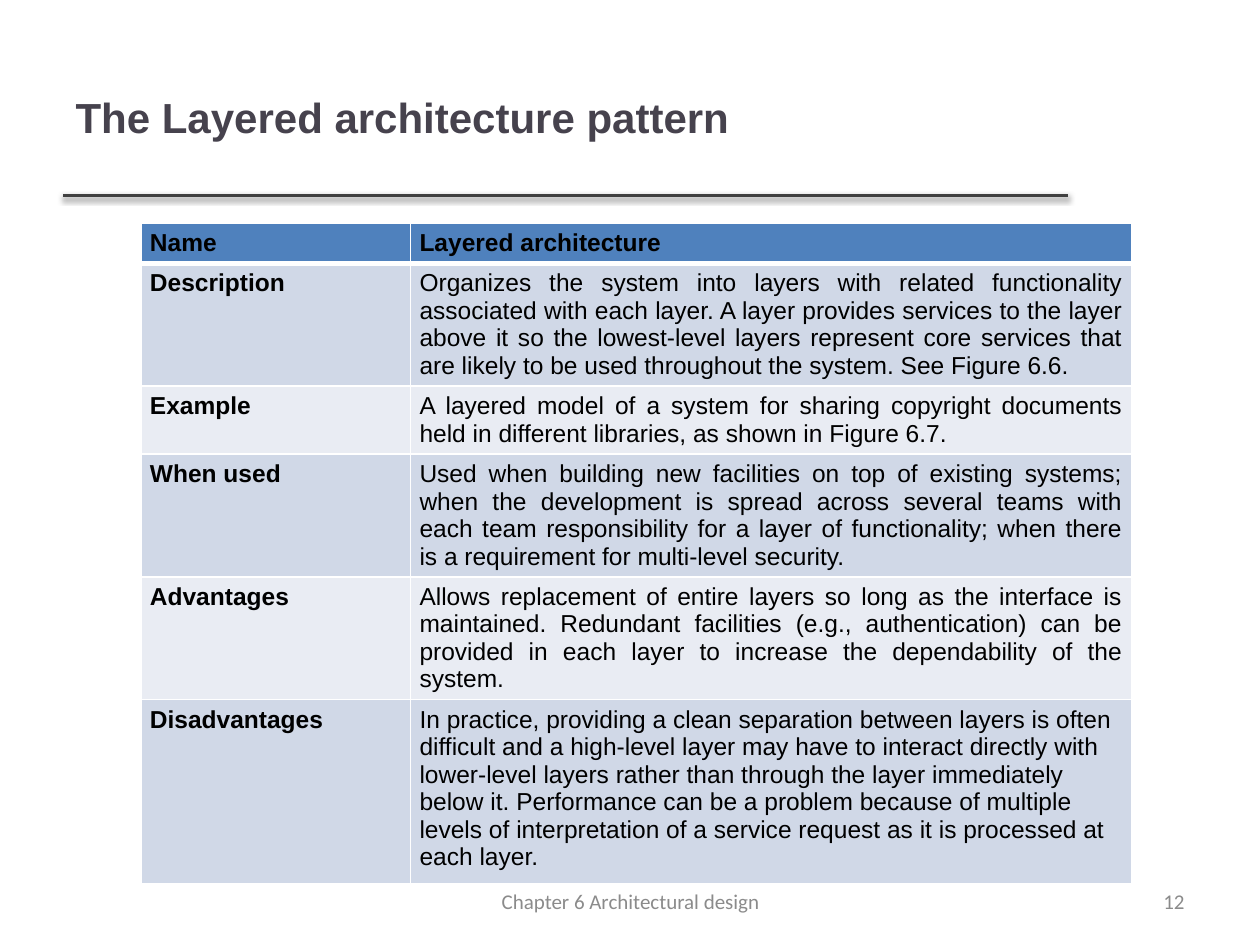
from lxml import etree
from pptx import Presentation
from pptx.dml.color import RGBColor
from pptx.enum.shapes import MSO_CONNECTOR
from pptx.enum.text import MSO_ANCHOR, PP_ALIGN
from pptx.oxml import parse_xml
from pptx.oxml.ns import qn
from pptx.util import Inches, Pt

LEFT, CENTER, RIGHT, JUSTIFY = (PP_ALIGN.LEFT, PP_ALIGN.CENTER,
                                PP_ALIGN.RIGHT, PP_ALIGN.JUSTIFY)
MIDDLE = MSO_ANCHOR.MIDDLE
STRAIGHT = MSO_CONNECTOR.STRAIGHT
NS = 'xmlns:a="http://schemas.openxmlformats.org/drawingml/2006/main"'

HEADER, BANDS = "4F81BD", ("D0D8E7", "E9ECF3")
COLUMNS = (2.14, 5.72)
ROWS = [
    (0.31, "Name", "Layered architecture"),
    (0.97, "Description",
     "Organizes the system into layers with related functionality associated "
     "with each layer. A layer provides services to the layer above it so the "
     "lowest-level layers represent core services that are likely to be used "
     "throughout the system. See Figure 6.6."),
    (0.54, "Example",
     "A layered model of a system for sharing copyright documents held in "
     "different libraries, as shown in Figure 6.7."),
    (0.97, "When used",
     "Used when building new facilities on top of existing systems; when the "
     "development is spread across several teams with each team responsibility "
     "for a layer of functionality; when there is a requirement for "
     "multi-level security."),
    (0.97, "Advantages",
     "Allows replacement of entire layers so long as the interface is "
     "maintained. Redundant facilities (e.g., authentication) can be provided "
     "in each layer to increase the dependability of the system."),
    (1.46, "Disadvantages",
     "In practice, providing a clean separation between layers is often "
     "difficult and a high-level layer may have to interact directly with "
     "lower-level layers rather than through the layer immediately below it. "
     "Performance can be a problem because of multiple levels of "
     "interpretation of a service request as it is processed at each layer."),
]


def rgb(value):
    return RGBColor.from_string(value)


def write(tf, text, align, color, **font):
    tf.word_wrap = True
    p = tf.paragraphs[0]
    p.alignment = align
    r = p.add_run()
    r.text = text
    r.font.color.rgb = rgb(color)
    for name, value in font.items():
        setattr(r.font, name, value)


def place(sp, box):
    for name, value in zip(("left", "top", "width", "height"), box):
        setattr(sp, name, Inches(value))


def add_heading(s, box):
    """Title with a shadowed rule along its lower edge."""
    x, y, w, h = box
    sp = s.shapes.title
    place(sp, box)
    sp.text_frame.vertical_anchor = MIDDLE
    write(sp.text_frame, "The Layered architecture pattern", LEFT, "46424D",
          name="Arial", size=Pt(24), bold=True)
    rule = s.shapes.add_connector(STRAIGHT, Inches(x), Inches(y + h),
                                  Inches(x + w), Inches(y + h))
    rule.line.color.rgb = rgb("404040")
    rule.line.width = Pt(2)
    rule._element.spPr.append(parse_xml(
        f'<a:effectLst {NS}><a:outerShdw blurRad="{Pt(3.1)}" dist="{Pt(1.6)}" '
        'dir="5400000" rotWithShape="0"><a:srgbClr val="000000">'
        '<a:alpha val="38000"/></a:srgbClr></a:outerShdw></a:effectLst>'))


def set_borders(cell, **widths):
    tc_pr = cell._tc.get_or_add_tcPr()
    for side in "LRTB":
        ln = etree.SubElement(tc_pr, qn("a:ln" + side),
                              w=str(Pt(widths.get(side, 0.96))))
        fill = etree.SubElement(ln, qn("a:solidFill"))
        etree.SubElement(fill, qn("a:srgbClr"), val="FFFFFF")


def add_pattern_table(s, box):
    """Header row, then banded rows with a bold label column."""
    table = s.shapes.add_table(len(ROWS), len(COLUMNS),
                               *map(Inches, box)).table
    for column, width in zip(table.columns, COLUMNS):
        column.width = Inches(width)
    last = len(ROWS) - 1
    for i, (height, *texts) in enumerate(ROWS):
        table.rows[i].height = Inches(height)
        for j, text in enumerate(texts):
            cell = table.cell(i, j)
            cell.margin_left = cell.margin_right = Inches(0.07)
            cell.margin_top = cell.margin_bottom = Inches(0.05)
            # A thick line separates the header from the body
            set_borders(cell, **({"B": 3} if i == 0 else {"T": 3} if i == 1 else {}))
            cell.fill.solid()
            cell.fill.fore_color.rgb = rgb(BANDS[(i - 1) % 2] if i else HEADER)
            write(cell.text_frame, text, LEFT if i == last and j else JUSTIFY,
                  "000000", name="Arial", size=Pt(14), bold=i == 0 or j == 0)


def add_footer(s, text, align, box):
    tf = s.shapes.add_textbox(*map(Inches, box)).text_frame
    tf.vertical_anchor = MIDDLE
    write(tf, text, align, "8B8B8B", name="Calibri", size=Pt(12))


prs = Presentation()
prs.slide_width, prs.slide_height = Inches(10), Inches(7.5)
s = prs.slides.add_slide(prs.slide_layouts[5])
add_heading(s, (0.5, 0.3, 7.98, 1.25))
add_pattern_table(s, (1.12, 1.77, sum(COLUMNS), sum(row[0] for row in ROWS)))
add_footer(s, "12", RIGHT, (7.17, 6.95, 2.33, 0.4))
add_footer(s, "Chapter 6 Architectural design", CENTER, (3.42, 6.95, 3.17, 0.4))
prs.save("out.pptx")
